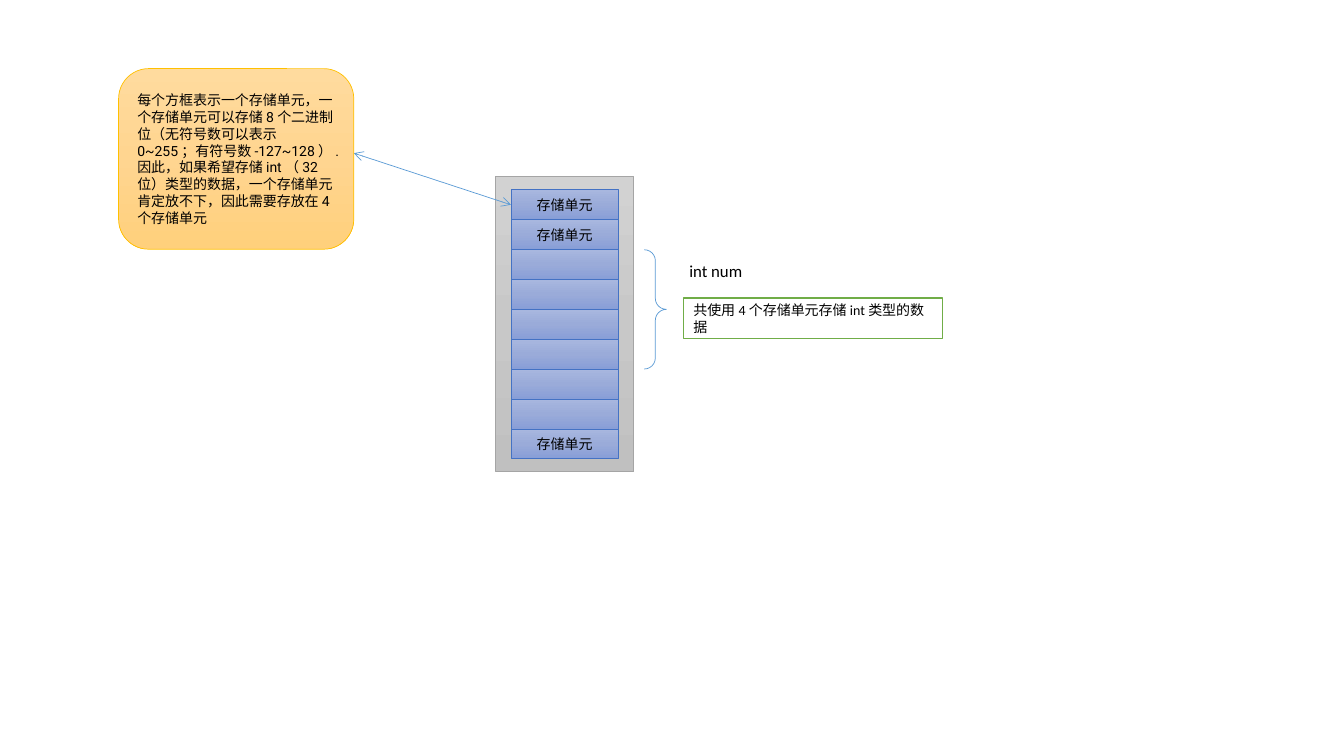
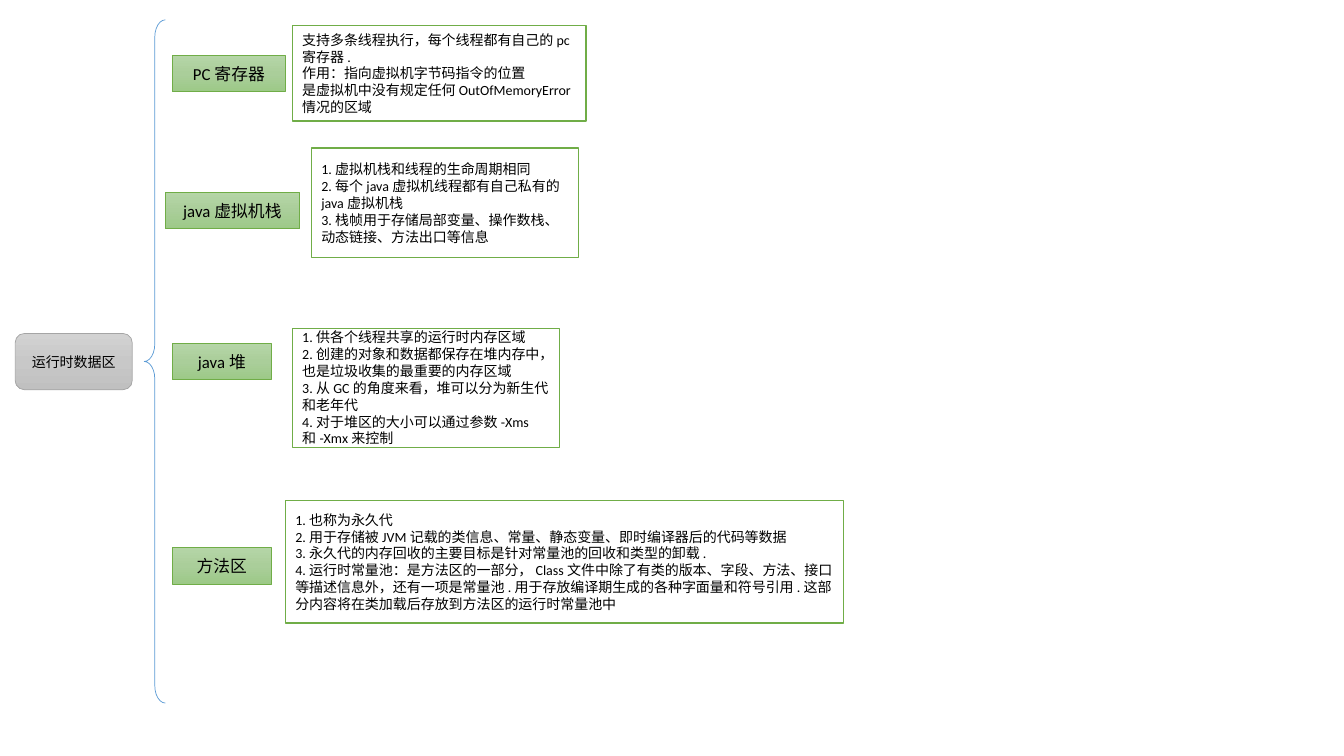
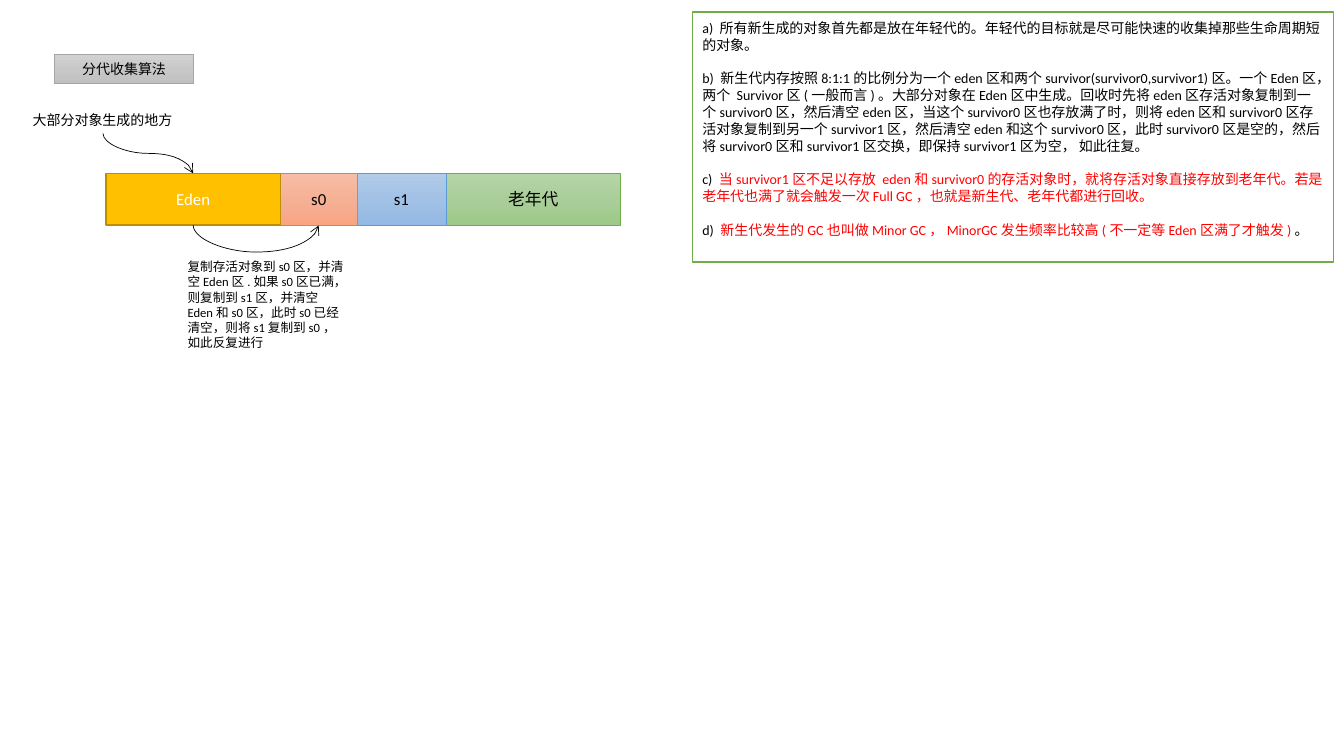
from copy import deepcopy
from dataclasses import dataclass
from itertools import accumulate

from lxml import etree
from pptx import Presentation
from pptx.dml.color import RGBColor
from pptx.enum import shapes, text
from pptx.oxml import ns
from pptx.shapes.autoshape import Shape
from pptx.shapes.connector import Connector
from pptx.slide import Slide
from pptx.util import Pt

BLACK = RGBColor(0x00, 0x00, 0x00)
WHITE = RGBColor(0xFF, 0xFF, 0xFF)
RED = RGBColor(0xFF, 0x00, 0x00)
BLUE_LINE = RGBColor(0x5B, 0x9B, 0xD5)
GREEN_LINE = RGBColor(0x70, 0xAD, 0x47)

RECTANGLE = shapes.MSO_SHAPE.RECTANGLE
ROUNDED = shapes.MSO_SHAPE.ROUNDED_RECTANGLE
LEFT = text.PP_ALIGN.LEFT
CENTER = text.PP_ALIGN.CENTER


@dataclass(frozen=True)
class Style:
    fills: tuple[RGBColor, ...]
    line: RGBColor
    width: float = 0.5


@dataclass(frozen=True)
class Span:
    words: str
    color: RGBColor = BLACK


@dataclass(frozen=True)
class Box:
    left: float
    top: float
    width: float
    height: float


@dataclass(frozen=True)
class Copy:
    paragraphs: tuple[tuple[Span, ...], ...]
    size: float = 10
    align: text.PP_ALIGN = LEFT
    font: str = "Calibri"
    gap: float = 0


@dataclass(frozen=True)
class Topic:
    label: str
    label_box: Box
    note_box: Box
    lines: tuple[str, ...]


@dataclass(frozen=True)
class Region:
    name: str
    width: float
    style: Style
    color: RGBColor = BLACK


def shades(*codes: str) -> tuple[RGBColor, ...]:
    return tuple(RGBColor.from_string(code) for code in codes)


GRAY = Style(shades("D2D2D2", "C8C8C8", "C0C0C0"), RGBColor(0xA5, 0xA5, 0xA5))
INDIGO = Style(shades("A8B7DF", "9AABD9", "889ED7"), RGBColor(0x44, 0x72, 0xC4))
GOLD = Style(shades("FFDB9E", "FFD590", "FFD07C"), RGBColor(0xFF, 0xC0, 0x00))
GREEN = Style(shades("B5D5A7", "AACE9A", "9CC987"), GREEN_LINE)
BLUE = Style(shades("B1CBE9", "A3C1E5", "93B9E4"), BLUE_LINE)
ORANGE = Style(shades("F7BDA5", "F5B196", "F8A582"), RGBColor(0xED, 0x7D, 0x31))
EDEN = Style(shades("FFC000"), RGBColor(0xBD, 0x8E, 0x00), 1)
NOTE = Style((WHITE,), GREEN_LINE, 1)
BRACE = Style((), BLUE_LINE)


def plain(*lines: str, size: float = 10, font: str = "Calibri") -> Copy:
    return Copy(tuple((Span(line),) for line in lines), size, font=font)


def caption(words: str, size: float = 10, color: RGBColor = BLACK) -> Copy:
    return Copy(((Span(words, color),),), size, CENTER)


def write(shape: Shape, copy: Copy) -> None:
    frame = shape.text_frame
    frame.word_wrap = True
    for index, spans in enumerate(copy.paragraphs):
        para = frame.add_paragraph() if index else frame.paragraphs[0]
        para.alignment = copy.align
        if index and copy.gap:
            para.space_before = Pt(copy.gap)
        for span in spans:
            run = para.add_run()
            run.text = span.words
            run.font.name = copy.font
            run.font.size = Pt(copy.size)
            run.font.color.rgb = span.color


def paint(shape: Shape, style: Style) -> None:
    shape.shadow.inherit = False
    shape.line.color.rgb = style.line
    shape.line.width = Pt(style.width)
    fill = shape.fill
    if not style.fills:
        fill.background()
    elif len(style.fills) == 1:
        fill.solid()
        fill.fore_color.rgb = style.fills[0]
    else:
        fill.gradient()
        fill.gradient_angle = 270
        stops = shape._element.spPr.find(".//" + ns.qn("a:gsLst"))
        stops.insert(1, deepcopy(stops[0]))
        for index, (stop, color) in enumerate(zip(fill.gradient_stops, style.fills)):
            stop.position = index / 2
            stop.color.rgb = color


def draw(page: Slide, kind: shapes.MSO_SHAPE, box: Box, style: Style,
         copy: Copy | None = None) -> Shape:
    shape = page.shapes.add_shape(
        kind, Pt(box.left), Pt(box.top), Pt(box.width), Pt(box.height))
    paint(shape, style)
    if copy:
        shape.text_frame.vertical_anchor = text.MSO_ANCHOR.MIDDLE
        write(shape, copy)
    return shape


def draw_brace(page: Slide, kind: shapes.MSO_SHAPE, box: Box, curl: float) -> None:
    brace = draw(page, kind, box, BRACE)
    brace.adjustments[0] = curl
    brace.adjustments[1] = 0.5


def draw_text(page: Slide, box: Box, copy: Copy) -> None:
    label = page.shapes.add_textbox(
        Pt(box.left), Pt(box.top), Pt(box.width), Pt(box.height))
    write(label, copy)
    label.text_frame.auto_size = text.MSO_AUTO_SIZE.SHAPE_TO_FIT_TEXT


def finish_line(line: Connector, color: RGBColor, ends: tuple[str, ...]) -> None:
    line.line.color.rgb = color
    line.line.width = Pt(0.5)
    properties = line._element.spPr
    outline = properties.find(ns.qn("a:ln"))
    for end in ends:
        etree.SubElement(outline, ns.qn(f"a:{end}"), type="arrow")
    etree.SubElement(properties, ns.qn("a:effectLst"))


def draw_curve(page: Slide, start: tuple[float, float], end: tuple[float, float],
               bend: float) -> None:
    across, down = end[0] - start[0], end[1] - start[1]
    middle_x, middle_y = (start[0] + end[0]) / 2, (start[1] + end[1]) / 2
    curve = page.shapes.add_connector(
        shapes.MSO_CONNECTOR.CURVE,
        Pt(middle_x - down / 2), Pt(middle_y + across / 2),
        Pt(middle_x + down / 2), Pt(middle_y - across / 2))
    properties = curve._element.spPr
    properties.find(ns.qn("a:xfrm")).set("rot", "5400000")
    guides = properties.find(".//" + ns.qn("a:avLst"))
    etree.SubElement(guides, ns.qn("a:gd"), name="adj1", fmla=f"val {round(bend * 100000)}")
    finish_line(curve, BLACK, ("tailEnd",))


def build_memory(page: Slide) -> None:
    draw(page, RECTANGLE, Box(354.2, 126, 98.6, 211), GRAY)
    pitch = 21.35
    cells = [
        draw(page, RECTANGLE, Box(365, 135.6 + row * pitch, 76.5, pitch), INDIGO,
             caption("存储单元") if row in (0, 1, 8) else None)
        for row in range(9)
    ]
    arrow = page.shapes.add_connector(
        shapes.MSO_CONNECTOR.STRAIGHT, Pt(252.7), Pt(109.4), Pt(365), Pt(146.3))
    arrow.end_connect(cells[0], 1)
    finish_line(arrow, BLUE_LINE, ("headEnd", "tailEnd"))
    draw(page, ROUNDED, Box(84.7, 49, 168, 129), GOLD, plain(
        "每个方框表示一个存储单元，一个存储单元可以存储8个二进制位（无符号数可以表示0~255；有符号数-127~128）.",
        "因此，如果希望存储int（32位）类型的数据，一个存储单元肯定放不下，因此需要存放在4个存储单元",
        font="Roboto"))
    draw_brace(page, shapes.MSO_SHAPE.RIGHT_BRACE, Box(460.2, 178.4, 15.8, 85.2), 0.5)
    draw_text(page, Box(485.3, 182.9, 69, 21.8), plain("int num", size=12))
    draw(page, RECTANGLE, Box(488.2, 213, 185, 28.8), NOTE,
         plain("共使用4个存储单元存储int类型的数据"))


TOPICS = (
    Topic("PC寄存器", Box(123.1, 39.6, 80.8, 26), Box(208.8, 18.1, 209.7, 68.4), (
        "支持多条线程执行，每个线程都有自己的pc寄存器.",
        "作用：指向虚拟机字节码指令的位置",
        "是虚拟机中没有规定任何OutOfMemoryError情况的区域")),
    Topic("java虚拟机栈", Box(118, 137.3, 96, 26), Box(222.4, 105.6, 190.8, 78.5), (
        "1.虚拟机栈和线程的生命周期相同",
        "2.每个java虚拟机线程都有自己私有的java虚拟机栈",
        "3.栈帧用于存储局部变量、操作数栈、动态链接、方法出口等信息")),
    Topic("java堆", Box(123.1, 245.3, 70.8, 26), Box(208.8, 234.5, 190.8, 85), (
        "1.供各个线程共享的运行时内存区域",
        "2.创建的对象和数据都保存在堆内存中，也是垃圾收集的最重要的内存区域",
        "3.从GC的角度来看，堆可以分为新生代和老年代",
        "4.对于堆区的大小可以通过参数-Xms和-Xmx来控制")),
    Topic("方法区", Box(123.1, 390.9, 70.8, 26.5), Box(203.8, 357.5, 398.8, 87.6), (
        "1.也称为永久代",
        "2.用于存储被JVM记载的类信息、常量、静态变量、即时编译器后的代码等数据",
        "3.永久代的内存回收的主要目标是针对常量池的回收和类型的卸载.",
        "4.运行时常量池：是方法区的一部分，Class文件中除了有类的版本、字段、方法、接口等描述信息外，"
        "还有一项是常量池.用于存放编译期生成的各种字面量和符号引用."
        "这部分内容将在类加载后存放到方法区的运行时常量池中")),
)


def build_runtime_areas(page: Slide) -> None:
    draw(page, ROUNDED, Box(10.8, 238.2, 83.7, 40.2), GRAY, caption("运行时数据区"))
    draw_brace(page, shapes.MSO_SHAPE.LEFT_BRACE, Box(103, 14.2, 15.1, 488), 0.82)
    for topic in TOPICS:
        draw(page, RECTANGLE, topic.label_box, GREEN, caption(topic.label, 12))
        draw(page, RECTANGLE, topic.note_box, NOTE, plain(*topic.lines))


REGIONS = (
    Region("Eden", 124.8, EDEN, WHITE),
    Region("s0", 54.6, ORANGE),
    Region("s1", 63.6, BLUE),
    Region("老年代", 124.6, GREEN),
)

COLLECTION_RULES = Copy((
    (Span("a) 所有新生成的对象首先都是放在年轻代的。年轻代的目标就是尽可能快速的收集掉那些生命周期短的对象。"),),
    (Span("b) 新生代内存按照8:1:1的比例分为一个eden区和两个survivor(survivor0,survivor1)区。"
          "一个Eden区，两个 Survivor区(一般而言)。大部分对象在Eden区中生成。"
          "回收时先将eden区存活对象复制到一个survivor0区，然后清空eden区，"
          "当这个survivor0区也存放满了时，则将eden区和survivor0区存活对象复制到另一个survivor1区，"
          "然后清空eden和这个survivor0区，此时survivor0区是空的，"
          "然后将survivor0区和survivor1区交换，即保持survivor1区为空， 如此往复。"),),
    (Span("c) "),
     Span("当survivor1区不足以存放 eden和survivor0的存活对象时，就将存活对象直接存放到老年代。"
          "若是老年代也满了就会触发一次Full GC，也就是新生代、老年代都进行回收。", RED)),
    (Span("d) "),
     Span("新生代发生的GC也叫做Minor GC，MinorGC发生频率比较高(不一定等Eden区满了才触发)", RED),
     Span("。")),
), gap=12)


def build_generations(page: Slide) -> None:
    rules = draw(page, RECTANGLE, Box(494.6, 8.5, 458, 178.8), NOTE, COLLECTION_RULES)
    rules.text_frame.margin_bottom = Pt(15.6)
    top, height = 123.8, 37
    lefts = list(accumulate((region.width for region in REGIONS), initial=75.6))
    for region, left in reversed(list(zip(REGIONS, lefts))):
        draw(page, RECTANGLE, Box(left, top, region.width, height), region.style,
             caption(region.name, 12, region.color))
    eden_middle, survivor_middle = (
        left + region.width / 2 for region, left in zip(REGIONS[:2], lefts))
    bottom = top + height
    draw_curve(page, (eden_middle, bottom), (survivor_middle, bottom + 0.25), 75.4)
    draw_text(page, Box(126.9, 181.5, 127.4, 72.7), plain(
        "复制存活对象到s0区，并清空Eden区.如果s0区已满，则复制到s1区，并清空Eden和s0区，"
        "此时s0已经清空，则将s1复制到s0，如此反复进行", size=9))
    draw_text(page, Box(16.3, 76.2, 114.5, 19.4), plain("大部分对象生成的地方"))
    draw_curve(page, (73.6, 95.3), (eden_middle, top), 0.5)
    draw(page, RECTANGLE, Box(38.9, 38.9, 99.4, 21), GRAY, caption("分代收集算法"))


def main() -> None:
    deck = Presentation()
    deck.slide_width = Pt(960)
    deck.slide_height = Pt(540)
    blank = deck.slide_layouts[6]
    for build in (build_memory, build_runtime_areas, build_generations):
        build(deck.slides.add_slide(blank))
    deck.save("out.pptx")


if __name__ == "__main__":
    main()
